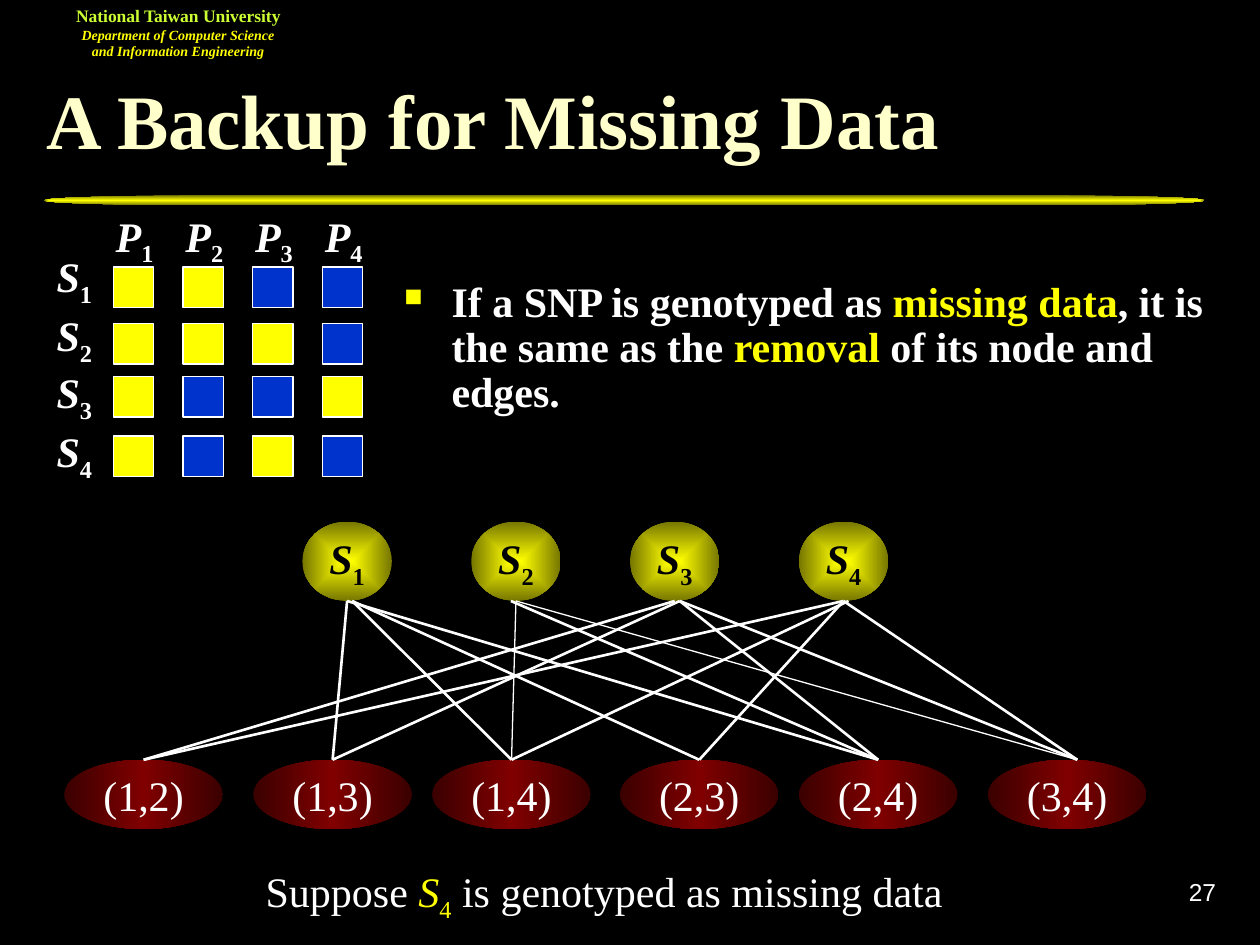
import itertools

import pptx
import pptx.dml.color
import pptx.enum.shapes
import pptx.enum.text
import pptx.oxml
import pptx.oxml.ns
import pptx.util

RGB = pptx.dml.color.RGBColor
SHAPE = pptx.enum.shapes.MSO_SHAPE
ALIGN = pptx.enum.text.PP_ALIGN
ANCHOR = pptx.enum.text.MSO_ANCHOR

BLACK = RGB(0x00, 0x00, 0x00)
WHITE = RGB(0xFF, 0xFF, 0xFF)
YELLOW = RGB(0xFF, 0xFF, 0x00)
OLIVE = RGB(0x76, 0x76, 0x00)
LIME = RGB(0xCC, 0xFF, 0x33)
CREAM = RGB(0xFF, 0xFF, 0xCC)
BLUE = RGB(0x00, 0x33, 0xCC)
MAROON = RGB(0x80, 0x00, 0x00)
DARK_MAROON = RGB(0x3B, 0x00, 0x00)

# The slide is a grid of 100 columns by 75 rows of square cells
COLUMNS, ROWS = 100, 75
CELL = pptx.util.Inches(0.1)

SERIF = "Times New Roman"
BODY = {"size": pptx.util.Pt(24), "name": SERIF, "bold": False, "italic": False}
CENTERED = {"alignment": ALIGN.CENTER}
SPACED = {"space_before": pptx.util.Pt(15)}

# Alleles of each SNP (S1 to S4) in each pattern (P1 to P4)
HAPLOTYPES = ["YYBB", "YYYB", "YBBY", "YBYB"]
ALLELE_COLORS = {"Y": YELLOW, "B": BLUE}
SQUARE_LEFT, SQUARE_STEP, SQUARE_SIZE = 9, 5.53, 3.2
SQUARE_TOPS = [21.2, 25.7, 29.9, 34.6]
SNP_LABEL_TOPS = [19.4, 24.1, 28.6, 33.3]

# Graph: SNP nodes above, pattern pairs below
SNP_LEFTS, SNP_TOP, SNP_SIZE = [24, 37.4, 50, 63.4], 41.4, (7.1, 6.3)
PAIR_LEFTS, PAIR_TOP, PAIR_SIZE = [5.1, 20.1, 34.3, 49.2, 63.4, 78.4], 60.3, (12.6, 5.5)
THIN_EDGES = {(2, (1, 4)), (2, (3, 4))}
# Sideways shift of an edge's start from the middle of its SNP node
EDGE_SHIFTS = {(1, (1, 4)): 0.4, (1, (2, 3)): 0.4, (2, (2, 4)): -0.4,
               (3, (1, 3)): 0.4, (3, (2, 4)): 0.4, (3, (3, 4)): 0.4,
               (4, (1, 4)): 0.4}
LAST_PAIR_SHIFT = 0.8


def cells(*counts):
    return [round(count * CELL) for count in counts]


def write(frame, paragraphs, anchor=ANCHOR.TOP, wrap=True, **paragraph_format):
    """Each paragraph is a list of (text, format) runs."""
    frame.word_wrap = wrap
    frame.vertical_anchor = anchor
    for number, runs in enumerate(paragraphs):
        paragraph = frame.add_paragraph() if number else frame.paragraphs[0]
        for attribute, value in paragraph_format.items():
            setattr(paragraph, attribute, value)
        for text, changes in runs:
            run = paragraph.add_run()
            run.text = text
            style = {**BODY, **changes}
            run.font.color.rgb = style.pop("color", WHITE)
            if style.pop("subscript", False):
                run._r.get_or_add_rPr().set("baseline", "-25000")
            for attribute, value in style.items():
                setattr(run.font, attribute, value)


def add_text(slide, place, paragraphs, **options):
    box = slide.shapes.add_textbox(*cells(*place))
    write(box.text_frame, paragraphs, **options)
    return box


def indexed(letter, index, **style):
    return [(letter, {**style, "italic": True}),
            (str(index), {**style, "subscript": True})]


def add_filled(slide, kind, place):
    shape = slide.shapes.add_shape(kind, *cells(*place))
    shape.shadow.inherit = False
    shape.line.fill.background()
    return shape


def shade(shape, stops, direction):
    """Gradient fill from (percent, colour) stops and a direction element."""
    colors = "".join(f'<a:gs pos="{percent * 1000}"><a:srgbClr val="{color}"/></a:gs>'
                     for percent, color in stops)
    gradient = pptx.oxml.parse_xml(
        f'<a:gradFill {pptx.oxml.ns.nsdecls("a")} rotWithShape="1">'
        f"<a:gsLst>{colors}</a:gsLst>{direction}</a:gradFill>")
    geometry = shape._element.spPr.find(pptx.oxml.ns.qn("a:prstGeom"))
    geometry.addnext(gradient)


def shade_yellow(shape):
    shade(shape, [(0, YELLOW), (100, OLIVE)],
          '<a:path path="rect"><a:fillToRect l="50000" t="50000" r="50000" b="50000"/></a:path>')


def shade_maroon(shape):
    shade(shape, [(0, DARK_MAROON), (50, MAROON), (100, DARK_MAROON)],
          '<a:lin ang="0" scaled="1"/>')


def add_node(slide, place, runs, shading):
    node = add_filled(slide, SHAPE.OVAL, place)
    shading(node)
    write(node.text_frame, [runs], anchor=ANCHOR.MIDDLE, wrap=False, **CENTERED)


def add_edge(slide, start, end, width):
    edge = slide.shapes.add_connector(
        pptx.enum.shapes.MSO_CONNECTOR.STRAIGHT, *cells(*start, *end))
    edge.line.color.rgb = WHITE
    edge.line.width = pptx.util.Pt(width)
    edge._element.spPr.append(
        pptx.oxml.parse_xml(f'<a:effectLst {pptx.oxml.ns.nsdecls("a")}/>'))


def add_header(slide):
    shade_yellow(add_filled(slide, SHAPE.FLOWCHART_TERMINATOR, (3.5, 15.5, 92.1, 0.8)))
    school = add_text(slide, (4.3, -0.3, 19.7, 5.7), [
        [("National Taiwan University",
          {"size": pptx.util.Pt(10), "bold": True, "color": LIME})],
        [("Department of Computer Science and Information Engineering",
          {"size": pptx.util.Pt(8), "bold": True, "italic": True, "color": YELLOW})],
    ], **CENTERED)
    margins = {"margin_left": 1.3, "margin_right": 1.3, "margin_top": 0.7, "margin_bottom": 0.7}
    for side, margin in margins.items():
        setattr(school.text_frame, side, cells(margin)[0])
    add_text(slide, (2.7, 5.2, 94.8, 10.2), [[
        ("A Backup for Missing Data",
         {"size": pptx.util.Pt(44), "bold": True, "color": CREAM})]],
        anchor=ANCHOR.MIDDLE, line_spacing=0.7)
    add_text(slide, (76.7, 68.3, 20.8, 5),
             [[("27", {"size": pptx.util.Pt(14), "name": "Arial"})]],
             anchor=ANCHOR.MIDDLE, wrap=False, alignment=ALIGN.RIGHT)


def add_haplotype_table(slide):
    for column in range(4):
        add_text(slide, (8.2 + column * SQUARE_STEP, 16.2, 5.5, 5.6),
                 [indexed("P", column + 1, bold=True)], **SPACED)
    for row, alleles in enumerate(HAPLOTYPES):
        add_text(slide, (3.5, SNP_LABEL_TOPS[row], 5.5, 5.6),
                 [indexed("S", row + 1, bold=True)], **SPACED)
        for column, allele in enumerate(alleles):
            square = add_filled(slide, SHAPE.RECTANGLE, (
                SQUARE_LEFT + column * SQUARE_STEP, SQUARE_TOPS[row],
                SQUARE_SIZE, SQUARE_SIZE))
            square.fill.solid()
            square.fill.fore_color.rgb = ALLELE_COLORS[allele]
            square.line.color.rgb = WHITE
            square.line.width = pptx.util.Pt(0.75)


def add_graph(slide):
    pairs = list(itertools.combinations(range(1, 5), 2))
    for pair, left in zip(pairs, PAIR_LEFTS):
        add_node(slide, (left, PAIR_TOP, *PAIR_SIZE),
                 [("({},{})".format(*pair), {})], shade_maroon)
    for snp, (left, alleles) in enumerate(zip(SNP_LEFTS, HAPLOTYPES), start=1):
        add_node(slide, (left, SNP_TOP, *SNP_SIZE),
                 indexed("S", snp, bold=True, color=BLACK), shade_yellow)
        # A SNP is joined to every pair of patterns that it tells apart
        for pair, pair_left in zip(pairs, PAIR_LEFTS):
            first, second = pair
            if alleles[first - 1] == alleles[second - 1]:
                continue
            start_x = left + SNP_SIZE[0] / 2 + EDGE_SHIFTS.get((snp, pair), 0)
            end_x = pair_left + PAIR_SIZE[0] / 2
            if pair == pairs[-1]:
                end_x += LAST_PAIR_SHIFT
            add_edge(slide, (start_x, SNP_TOP + SNP_SIZE[1]), (end_x, PAIR_TOP),
                     0.75 if (snp, pair) in THIN_EDGES else 1.5)


def add_explanation(slide):
    plain, marked = {"bold": True}, {"bold": True, "color": YELLOW}
    point = add_text(slide, (31.1, 21.8, 68.9, 14.2), [[
        ("If a SNP is genotyped as ", plain), ("missing data", marked),
        (", it is the same as the ", plain), ("removal", marked),
        (" of its node and edges.", plain)]],
        line_spacing=0.9, space_before=pptx.util.Pt(6))
    properties = point.text_frame.paragraphs[0]._p.get_or_add_pPr()
    indent = cells(3.75)[0]
    properties.set("marL", str(indent))
    properties.set("indent", str(-indent))
    for bullet in (f'<a:buClr {{}}><a:srgbClr val="{YELLOW}"/></a:buClr>',
                   '<a:buSzPct {} val="60000"/>', '<a:buChar {} char="■"/>'):
        properties.append(pptx.oxml.parse_xml(bullet.format(pptx.oxml.ns.nsdecls("a"))))
    add_text(slide, (20.1, 68.2, 56.7, 5.6), [[
        ("Suppose ", {}), *indexed("S", 4, color=YELLOW),
        (" is genotyped as missing data", {})]], **SPACED)


def main():
    deck = pptx.Presentation()
    deck.slide_width, deck.slide_height = cells(COLUMNS, ROWS)
    slide = deck.slides.add_slide(deck.slide_layouts[6])
    slide.background.fill.solid()
    slide.background.fill.fore_color.rgb = BLACK
    add_header(slide)
    add_graph(slide)
    add_explanation(slide)
    add_haplotype_table(slide)
    deck.save("out.pptx")


if __name__ == "__main__":
    main()
